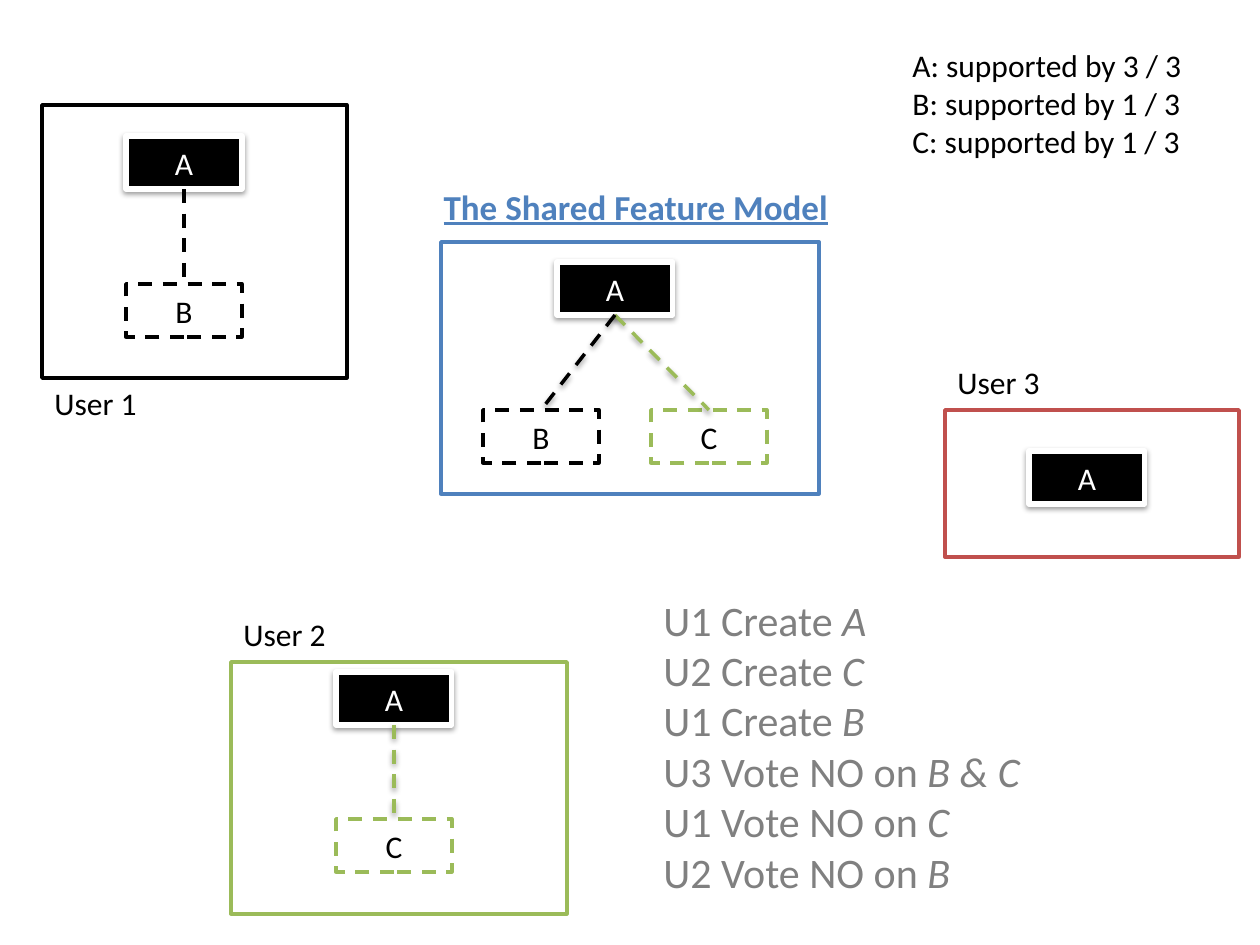
from lxml import etree
from pptx import Presentation
from pptx import util as u
from pptx.dml.color import RGBColor
from pptx.enum import dml, shapes, text
from pptx.oxml.ns import qn

COLORS = {"black": "000000", "white": "FFFFFF", "blue": "4F81BD",
          "red": "C0504D", "green": "9BBB59", "gray": "808080"}
FONT = "Calibri"
FEATURE_W, FEATURE_H = 116, 53

TITLE = ("The Shared Feature Model", (431, 179, 413, 55))
PANELS = [  # colour, area
    ("blue", (441, 242, 378, 252)),
    ("black", (42, 105, 305, 273)),
    ("red", (945, 410, 294, 147)),
    ("green", (231, 662, 336, 252)),
]
USERS = [("User 1", 42, 378), ("User 2", 231, 609), ("User 3", 945, 357)]
MODELS = [  # root A position, then children: name, position, colour, link shadow
    ((126, 136), [("B", (126, 284), "black", False)]),
    ((557, 262), [("C", (651, 410), "green", True),
                  ("B", (483, 410), "black", True)]),
    ((1029, 451), []),
    ((336, 672), [("C", (336, 819), "green", True)]),
]
ACTIONS = [("U1 Create ", "A"), ("U2 Create ", "C"), ("U1 Create ", "B"),
           ("U3 Vote NO on ", "B & C"), ("U1 Vote NO on ", "C"),
           ("U2 Vote NO on ", "B")]
SUPPORT = [("A: supported by 3 / 3",), ("B: supported by 1 / 3",),
           ("C: supported by 1 / 3",)]


def px(value):
    return u.Emu(round(value * 914400 / 126))


def color(name):
    return RGBColor.from_string(COLORS[name])


def style_line(line, name, width=2, dashed=False):
    line.color.rgb = color(name)
    line.width = u.Pt(width)
    if dashed:
        line.dash_style = dml.MSO_LINE.DASH


def set_effects(item, shadow):
    """Replace the theme's effects with a soft drop shadow, or with none."""
    effects = etree.SubElement(item._element.spPr, qn("a:effectLst"))
    if shadow:
        outer = etree.SubElement(effects, qn("a:outerShdw"), blurRad="40000",
                                 dist="20000", dir="5400000", rotWithShape="0")
        tint = etree.SubElement(outer, qn("a:srgbClr"), val=COLORS["black"])
        etree.SubElement(tint, qn("a:alpha"), val="38000")


def style_font(para, size, name):
    para.font.name = FONT
    para.font.size = u.Pt(size)
    para.font.color.rgb = color(name)


def add_box(page, area, fill, line, width=2, dashed=False, shadow=False):
    box = page.shapes.add_shape(shapes.MSO_SHAPE.RECTANGLE, *map(px, area))
    box.fill.solid()
    box.fill.fore_color.rgb = color(fill)
    style_line(box.line, line, width, dashed)
    set_effects(box, shadow)
    return box


def add_feature(page, name, position, ink, **look):
    box = add_box(page, (*position, FEATURE_W, FEATURE_H), **look)
    frame = box.text_frame
    frame.vertical_anchor = text.MSO_ANCHOR.MIDDLE
    para = frame.paragraphs[0]
    para.text = name
    para.alignment = text.PP_ALIGN.CENTER
    style_font(para, 18, ink)


def add_link(page, parent, child, name, shadow):
    link = page.shapes.add_connector(shapes.MSO_CONNECTOR.STRAIGHT, 0, 0, 0, 0)
    link.begin_connect(parent, 2)
    link.end_connect(child, 0)
    style_line(link.line, name, dashed=True)
    set_effects(link, shadow)


def add_lines(page, lines, area, size=18, ink="black", wrap=False):
    """Add a text box; the second part of a line, if any, is italic."""
    frame = page.shapes.add_textbox(*map(px, area)).text_frame
    frame.word_wrap = wrap
    frame.auto_size = text.MSO_AUTO_SIZE.SHAPE_TO_FIT_TEXT
    for number, parts in enumerate(lines):
        para = frame.add_paragraph() if number else frame.paragraphs[0]
        for index, part in enumerate(parts):
            span = para.add_run()
            span.text = part
            if index:
                span.font.italic = True
        style_font(para, size, ink)


def add_title(page):
    title = page.shapes.title
    words, area = TITLE
    title.left, title.top, title.width, title.height = map(px, area)
    frame = title.text_frame
    frame.text = words
    frame.word_wrap = False
    frame.auto_size = text.MSO_AUTO_SIZE.SHAPE_TO_FIT_TEXT
    frame.vertical_anchor = text.MSO_ANCHOR.TOP
    para = frame.paragraphs[0]
    para.alignment = text.PP_ALIGN.LEFT
    style_font(para, 20, "blue")
    para.font.bold = para.font.underline = True


def main():
    deck = Presentation()
    deck.slide_width, deck.slide_height = px(1260), px(945)
    page = deck.slides.add_slide(deck.slide_layouts[5])
    add_title(page)

    for name, area in PANELS:
        add_box(page, area, "white", name)
    for user, left, top in USERS:
        add_lines(page, [(user,)], (left, top, 108, 51))

    for root_position, children in MODELS:
        add_feature(page, "A", root_position, "white", fill="black",
                    line="white", width=3, shadow=True)
        root = page.shapes[-1]
        for name, position, tone, shadow in children:
            add_feature(page, name, position, "black", fill="white",
                        line=tone, dashed=True)
            add_link(page, root, page.shapes[-1], tone, shadow)

    add_lines(page, ACTIONS, (651, 588, 384, 318), 24, "gray", wrap=True)
    add_lines(page, SUPPORT, (900, 40, 297, 127))
    deck.save("out.pptx")


if __name__ == "__main__":
    main()
